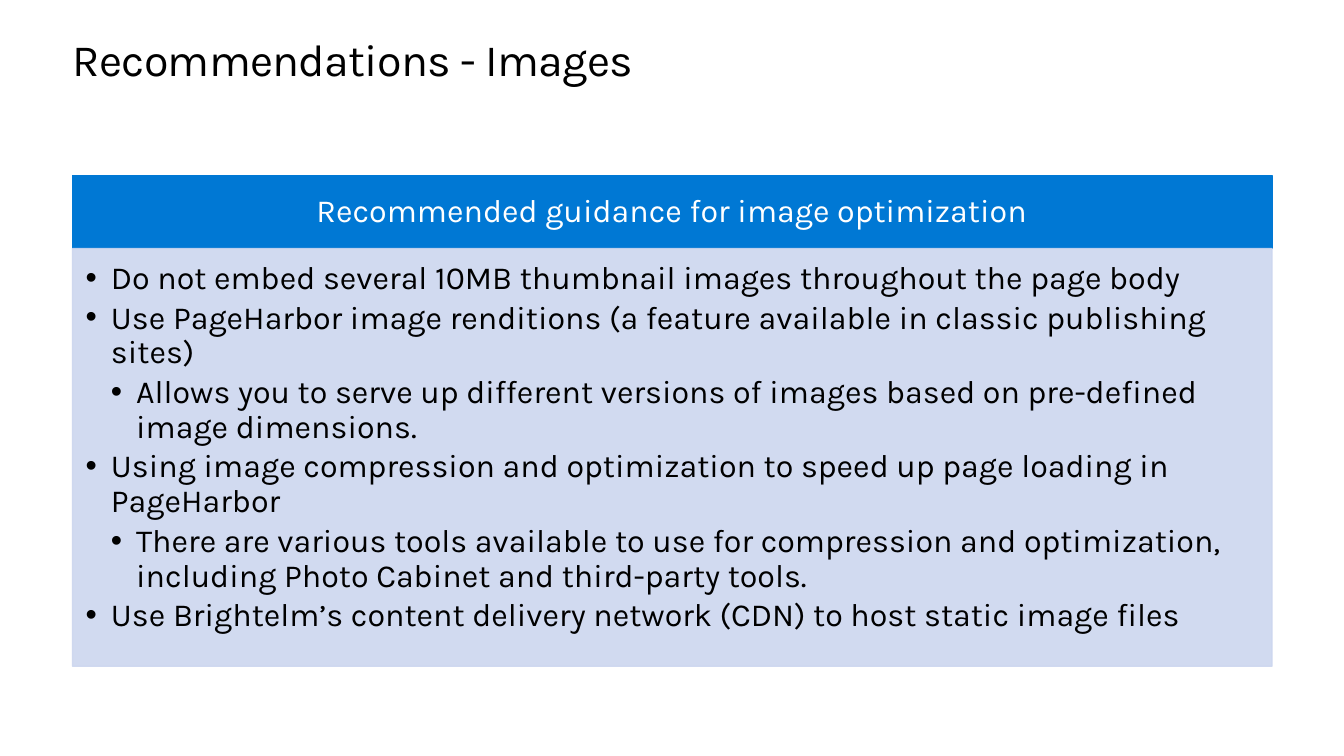
from pptx import Presentation
from pptx import util as u
from pptx.dml.color import RGBColor
from pptx.enum import shapes, text
from pptx.oxml.ns import qn
from lxml import etree

HUES = {"ink": "000000", "white": "FFFFFF", "blue": "0078D4", "pale": "CCD6EF"}
LEFT, WIDE = 51.84, 856.8
TIPS = [
    (1, "Do not embed several 10MB thumbnail images throughout the page body"),
    (1, "Use PageHarbor image renditions (a feature available in classic publishing sites)"),
    (2, "Allows you to serve up different versions of images based on pre-defined image dimensions."),
    (1, "Using image compression and optimization to speed up page loading in PageHarbor"),
    (2, "There are various tools available to use for compression and optimization, "
        "including Photo Cabinet and third-party tools."),
    (1, "Use Brightelm’s content delivery network (CDN) to host static image files"),
]


def write(para, words, size=23, hue="ink", align=text.PP_ALIGN.LEFT,
          lead=0.9, after=0, track=0, level=0):
    run = para.add_run()
    run.text = words
    font = run.font
    font.name, font.size = "Karla", u.Pt(size)
    font.color.rgb = RGBColor.from_string(HUES[hue])
    para.alignment, para.line_spacing = align, lead
    para.space_after = u.Pt(after)
    if track:
        run._r.get_or_add_rPr().set("spc", str(round(track * 100)))
    if level:
        para.level = level
        props = para._p.get_or_add_pPr()
        props.set("marL", str(u.Pt(18 * level)))
        props.set("indent", str(-u.Pt(18)))
        etree.SubElement(props, qn("a:buFont")).set("typeface", "Arial")
        etree.SubElement(props, qn("a:buChar")).set("char", "•")


class Deck:
    """Holds the style and the current slide."""

    def __init__(self):
        self.show = Presentation()
        self.show.slide_width, self.show.slide_height = u.Pt(960), u.Pt(540)
        self.slide = self.show.slides.add_slide(self.show.slide_layouts[6])

    def frame(self, shape, pads, anchor):
        frame = shape.text_frame
        frame.word_wrap = True
        frame.vertical_anchor = anchor
        (frame.margin_left, frame.margin_top,
         frame.margin_right, frame.margin_bottom) = map(u.Pt, pads)
        return frame

    def label(self, top, high):
        box = self.slide.shapes.add_textbox(*map(u.Pt, (LEFT, top, WIDE, high)))
        return self.frame(box, (0, 0, 0, 0), text.MSO_ANCHOR.TOP)

    def panel(self, top, high, hue, pads, anchor, alpha=100):
        box = self.slide.shapes.add_shape(
            shapes.MSO_SHAPE.RECTANGLE, *map(u.Pt, (LEFT, top, WIDE, high)))
        box.shadow.inherit = False
        box.line.width = u.Pt(1)
        for fill in (box.fill, box.line.fill):
            fill.solid()
            fill.fore_color.rgb = RGBColor.from_string(HUES[hue])
        if alpha < 100:
            for tint in box._element.spPr.iter(qn("a:srgbClr")):
                etree.SubElement(tint, qn("a:alpha")).set("val", str(alpha * 1000))
        return self.frame(box, pads, anchor)


def main():
    deck = Deck()
    title = deck.label(25.2, 36)
    write(title.paragraphs[0], "Recommendations - Images", size=32,
          lead=u.Pt(36.2), track=-0.5)

    head = deck.panel(125.5, 52, "blue", (13, 7.2, 13, 7.2), text.MSO_ANCHOR.MIDDLE)
    write(head.paragraphs[0], "Recommended guidance for image optimization",
          hue="white", align=text.PP_ALIGN.CENTER)

    body = deck.panel(177.5, 298.4, "pale", (9.4, 9.4, 13, 14.4),
                      text.MSO_ANCHOR.TOP, alpha=90)
    for i, (level, words) in enumerate(TIPS):
        para = body.add_paragraph() if i else body.paragraphs[0]
        write(para, words, after=3.5, level=level)

    deck.show.save("out.pptx")


if __name__ == "__main__":
    main()
